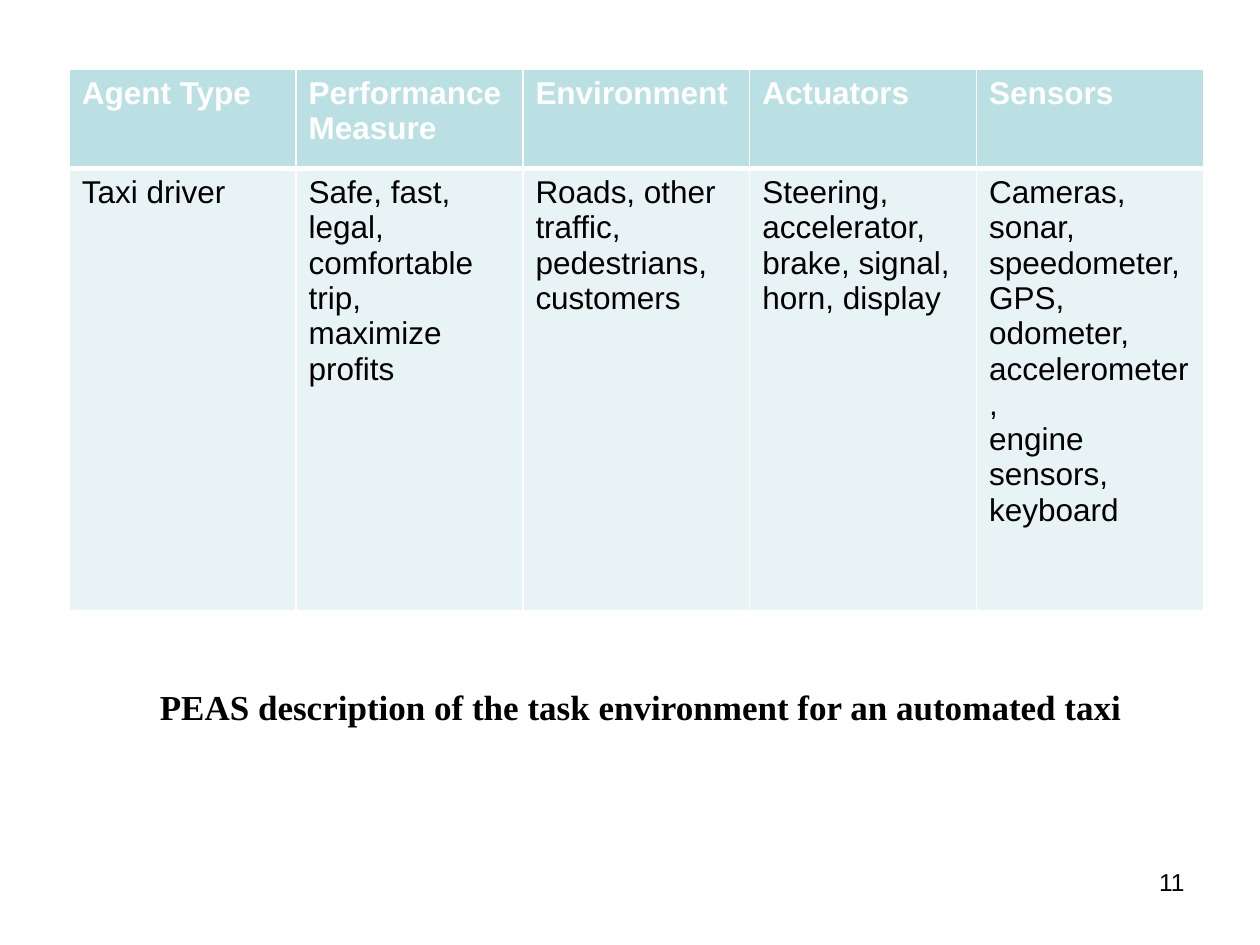
"""Build the slide with the PEAS table for an automated taxi."""
from dataclasses import dataclass

from lxml import etree
from pptx import Presentation
from pptx import util as u
from pptx.dml.color import RGBColor
from pptx.enum import text
from pptx.oxml.ns import qn

COLUMNS = [
    (["Agent Type"], ["Taxi driver"]),
    (["Performance", "Measure"],
     ["Safe, fast, legal,", "comfortable trip,", "maximize profits"]),
    (["Environment"],
     ["Roads, other", "traffic,", "pedestrians,", "customers"]),
    (["Actuators"],
     ["Steering,", "accelerator,", "brake, signal,", "horn, display"]),
    (["Sensors"],
     ["Cameras, sonar,", "speedometer,", "GPS, odometer,", "accelerometer,",
      "engine sensors,", "keyboard"]),
]
CAPTION = "PEAS description of the task environment for an automated taxi"
PAGE_NUMBER = "11"
TABLE_LEFT, TABLE_TOP, COLUMN_WIDTH = 0.55, 0.55, 1.8
ROW_HEIGHTS = [0.79, 3.51]


@dataclass(frozen=True)
class Theme:
    """Colours, fonts and type sizes."""

    sans: str = "Arial"
    serif: str = "Times New Roman"
    ink: str = "000000"
    white: str = "FFFFFF"
    header_fill: str = "BBE0E3"
    body_fill: str = "E7F3F4"
    number_size: int = 14
    table_size: int = 18
    caption_size: int = 20
    thin_rule: int = 1
    thick_rule: int = 3


THEME = Theme()


def write(frame, lines, face, size, color, bold=False, align=None):
    """Fill a text frame with one paragraph per line."""
    frame.word_wrap = True
    for index, line in enumerate(lines):
        para = frame.add_paragraph() if index else frame.paragraphs[0]
        para.text = line
        para.alignment = align
        para.font.name, para.font.size = face, u.Pt(size)
        para.font.bold = bold
        para.font.color.rgb = RGBColor.from_string(color)


def add_border(cell, side, width):
    """Draw one white cell edge."""
    edge = etree.SubElement(cell._tc.get_or_add_tcPr(), qn(f"a:ln{side}"),
                            w=str(u.Pt(width)))
    fill = etree.SubElement(edge, qn("a:solidFill"))
    etree.SubElement(fill, qn("a:srgbClr"), val=THEME.white)


def add_peas_table(page):
    """Place the table with a header row and a body row."""
    table = page.shapes.add_table(
        len(ROW_HEIGHTS), len(COLUMNS), u.Inches(TABLE_LEFT), u.Inches(TABLE_TOP),
        u.Inches(COLUMN_WIDTH * len(COLUMNS)), u.Inches(sum(ROW_HEIGHTS))).table
    for row, height in zip(table.rows, ROW_HEIGHTS):
        row.height = u.Inches(height)
    styles = [(THEME.header_fill, THEME.white, True, "B"),
              (THEME.body_fill, THEME.ink, False, "T")]
    for column, entries in enumerate(COLUMNS):
        table.columns[column].width = u.Inches(COLUMN_WIDTH)
        for row, (lines, style) in enumerate(zip(entries, styles)):
            fill, color, bold, thick_side = style
            cell = table.cell(row, column)
            for side in "LRTB":
                add_border(cell, side, THEME.thick_rule if side == thick_side
                           else THEME.thin_rule)
            cell.fill.solid()
            cell.fill.fore_color.rgb = RGBColor.from_string(fill)
            write(cell.text_frame, lines, THEME.sans, THEME.table_size, color, bold)


def add_label(page, place, label, face, size, bold, align):
    """Place one line of text in its own box."""
    box = page.shapes.add_textbox(*map(u.Inches, place))
    write(box.text_frame, [label], face, size, THEME.ink, bold, align)


def main():
    """Assemble and save the deck."""
    deck = Presentation()
    deck.slide_width, deck.slide_height = u.Inches(10), u.Inches(7.5)
    page = deck.slides.add_slide(deck.slide_layouts[6])
    add_label(page, (7.17, 6.83, 2.33, 0.52), PAGE_NUMBER, THEME.sans,
              THEME.number_size, False, text.PP_ALIGN.RIGHT)
    add_peas_table(page)
    add_label(page, (1.17, 5.39, 7.97, 0.44), CAPTION, THEME.serif,
              THEME.caption_size, True, text.PP_ALIGN.JUSTIFY)
    deck.save("out.pptx")


if __name__ == "__main__":
    main()
